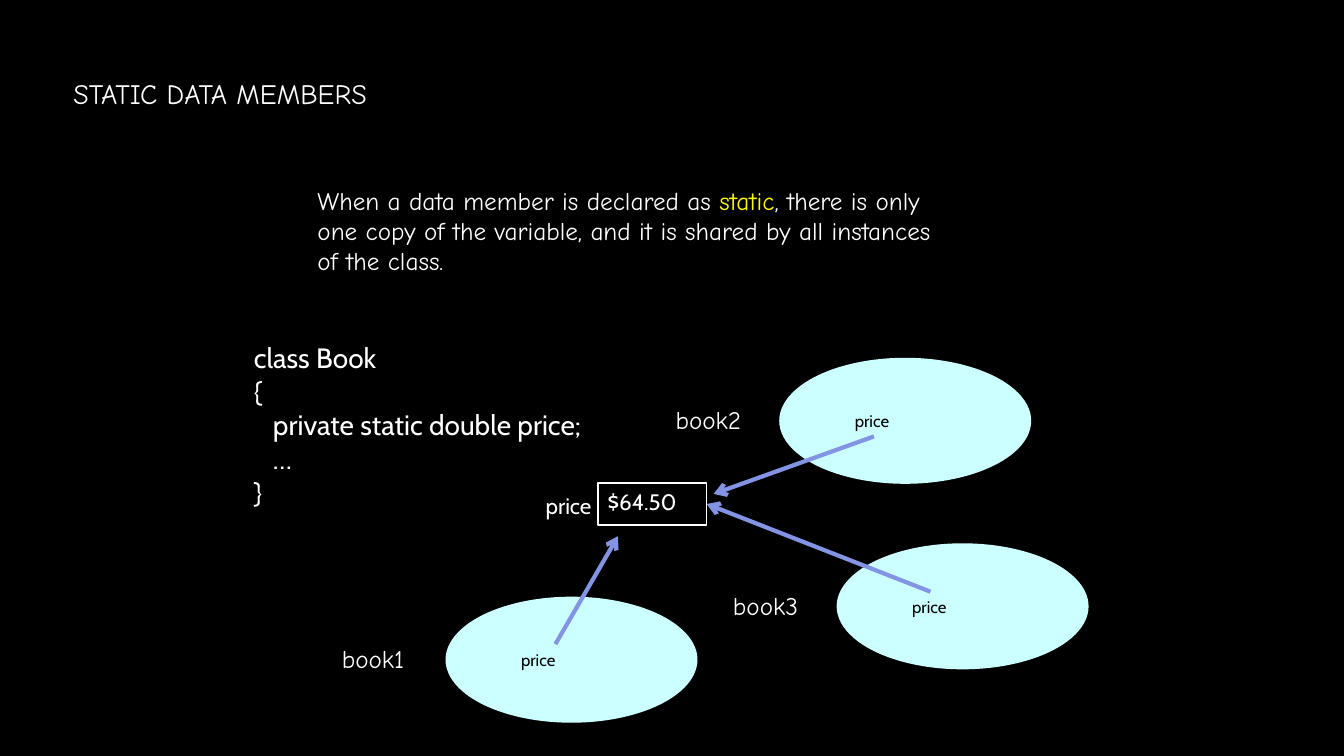
from typing import NamedTuple

from lxml import etree
from pptx import Presentation
from pptx.dml.color import RGBColor
from pptx.enum.shapes import MSO_CONNECTOR, MSO_SHAPE
from pptx.enum.text import MSO_ANCHOR, MSO_AUTO_SIZE, PP_ALIGN
from pptx.oxml.ns import qn
from pptx.util import Inches, Pt

ELLIPSE, RECT = MSO_SHAPE.OVAL, MSO_SHAPE.RECTANGLE
STRAIGHT = MSO_CONNECTOR.STRAIGHT
LEFT, CENTER = PP_ALIGN.LEFT, PP_ALIGN.CENTER
TOP, MIDDLE = MSO_ANCHOR.TOP, MSO_ANCHOR.MIDDLE
FIT, NO_FIT = MSO_AUTO_SIZE.SHAPE_TO_FIT_TEXT, MSO_AUTO_SIZE.NONE
RIGHT_SIDE = 3
HAND, SANS = "Comic Neue", "Cabin"
COLORS = {"black": "000000", "white": "FFFFFF", "accent": "FFFF00",
          "object": "CCFFFF", "arrow": "8394E4"}


class Box(NamedTuple):
    """Left, top, width and height in percent of the slide."""
    x: float
    y: float
    w: float
    h: float


class Style(NamedTuple):
    font: str
    size: int
    color: str = "white"
    align: PP_ALIGN = LEFT


class Book(NamedTuple):
    """An instance: its ellipse's corner and its arrow's two ends."""
    name: str
    x: float
    y: float
    start: tuple[float, float]
    end: tuple[float, float]
    joined: bool = False


TITLE = Style(HAND, 20)
BODY = Style(HAND, 18)
CODE = Style(SANS, 20)
FIELD = Style(SANS, 12, "black", CENTER)
VARIABLE = Style(SANS, 16, align=CENTER)
VALUE = Style(SANS, 16)

VALUE_BOX = Box(44.48, 63.87, 8.1, 5.6)
BOOKS = [
    Book("book1", 33.15, 78.93, (41.33, 85.2), (45.98, 70.93)),
    Book("book2", 57.98, 47.33, (65.03, 57.73), (53.1, 65.33)),
    Book("book3", 62.25, 71.87, (69.23, 78.27), (52.58, 66.67), True),
]
EXPLANATION = [
    ["When a data member is declared as ", "static", ", there is only"],
    ["one copy of the variable, and it is shared by all instances"],
    ["of the class."],
]
# Code lines with their indent level
CODE_LINES = [("class Book", 0), ("{", 0), ("private static double price;", 1),
              ("…", 1), ("}", 0)]

prs = Presentation()
prs.slide_width, prs.slide_height = Inches(13.33), Inches(7.5)
slide = prs.slides.add_slide(prs.slide_layouts[6])


def rgb(name: str) -> RGBColor:
    return RGBColor.from_string(COLORS[name])


def px(share: float) -> int:
    return round(prs.slide_width * share / 100)


def py(share: float) -> int:
    return round(prs.slide_height * share / 100)


def emu(box: Box) -> tuple[int, int, int, int]:
    return px(box.x), py(box.y), px(box.w), py(box.h)


def add_text(box: Box, lines: list[list[str]], style: Style,
             anchor: MSO_ANCHOR = TOP, wrap: bool = False):
    tf = slide.shapes.add_textbox(*emu(box)).text_frame
    tf.word_wrap = wrap
    tf.auto_size = NO_FIT if wrap else FIT
    tf.vertical_anchor = anchor
    for i, line in enumerate(lines):
        p = tf.add_paragraph() if i else tf.paragraphs[0]
        p.alignment = style.align
        p.font.name, p.font.size = style.font, Pt(style.size)
        p.font.color.rgb = rgb(style.color)
        for text in line:
            r = p.add_run()
            r.text = text
            if text == "static":
                r.font.color.rgb = rgb("accent")
    return tf


def add_shape(kind: MSO_SHAPE, box: Box, fill: str, line: str | None = None):
    sp = slide.shapes.add_shape(kind, *emu(box))
    sp.shadow.inherit = False
    sp.fill.solid()
    sp.fill.fore_color.rgb = rgb(fill)
    if line:
        sp.line.color.rgb = rgb(line)
        sp.line.width = Pt(1)
    else:
        sp.line.fill.background()
    return sp


def add_object(book: Book) -> None:
    add_text(Box(book.x - 8.45, book.y + 5.5, 6.8, 5.33), [[book.name]], BODY)
    add_shape(ELLIPSE, Box(book.x, book.y, 18.75, 16.67), "object")
    add_text(Box(book.x + 4.8, book.y + 6.35, 4.2, 4), [["price"]], FIELD)


def add_arrow(book: Book, target) -> None:
    (x1, y1), (x2, y2) = book.start, book.end
    cxn = slide.shapes.add_connector(STRAIGHT, px(x1), py(y1), px(x2), py(y2))
    if book.joined:
        cxn.end_connect(target, RIGHT_SIDE)
    cxn.line.color.rgb = rgb("arrow")
    cxn.line.width = Pt(3)
    etree.SubElement(cxn.line._get_or_add_ln(), qn("a:tailEnd"), type="arrow")
    etree.SubElement(cxn._element.spPr, qn("a:effectLst"))


def main() -> None:
    slide.background.fill.solid()
    slide.background.fill.fore_color.rgb = rgb("black")

    # Title, explanation and code
    add_text(Box(4.73, 8.6, 27.53, 7.47), [["STATIC DATA MEMBERS"]], TITLE,
             MIDDLE, wrap=True)
    add_text(Box(22.88, 23.82, 52.05, 13.47), EXPLANATION, BODY)
    tf = add_text(Box(18.15, 44.4, 28.2, 23.73),
                  [[text] for text, _ in CODE_LINES], CODE)
    for p, (_, level) in zip(tf.paragraphs, CODE_LINES):
        if level:
            p._p.get_or_add_pPr().set("marL", str(Inches(0.19 * level)))

    # Instances
    for book in BOOKS:
        add_object(book)

    # Shared variable, its value as wide as the box so that it stays on a line
    shared = add_shape(RECT, VALUE_BOX, "black", "white")
    add_text(Box(39.7, 64.4, 5.2, 4.93), [["price"]], VARIABLE)
    add_text(VALUE_BOX._replace(h=4.93), [["$64.50"]], VALUE, wrap=True)

    # Arrows from each instance to the shared variable
    for book in BOOKS:
        add_arrow(book, shared)

    prs.save("out.pptx")


if __name__ == "__main__":
    main()
